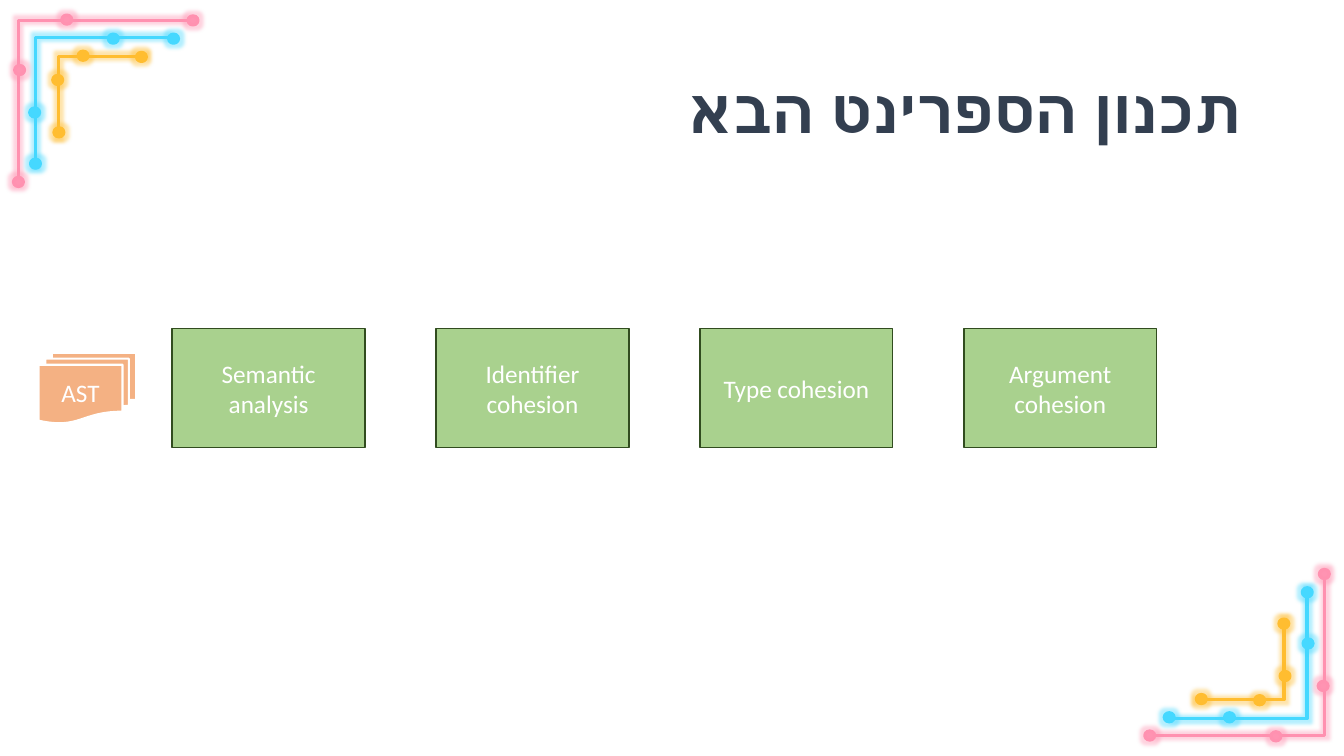
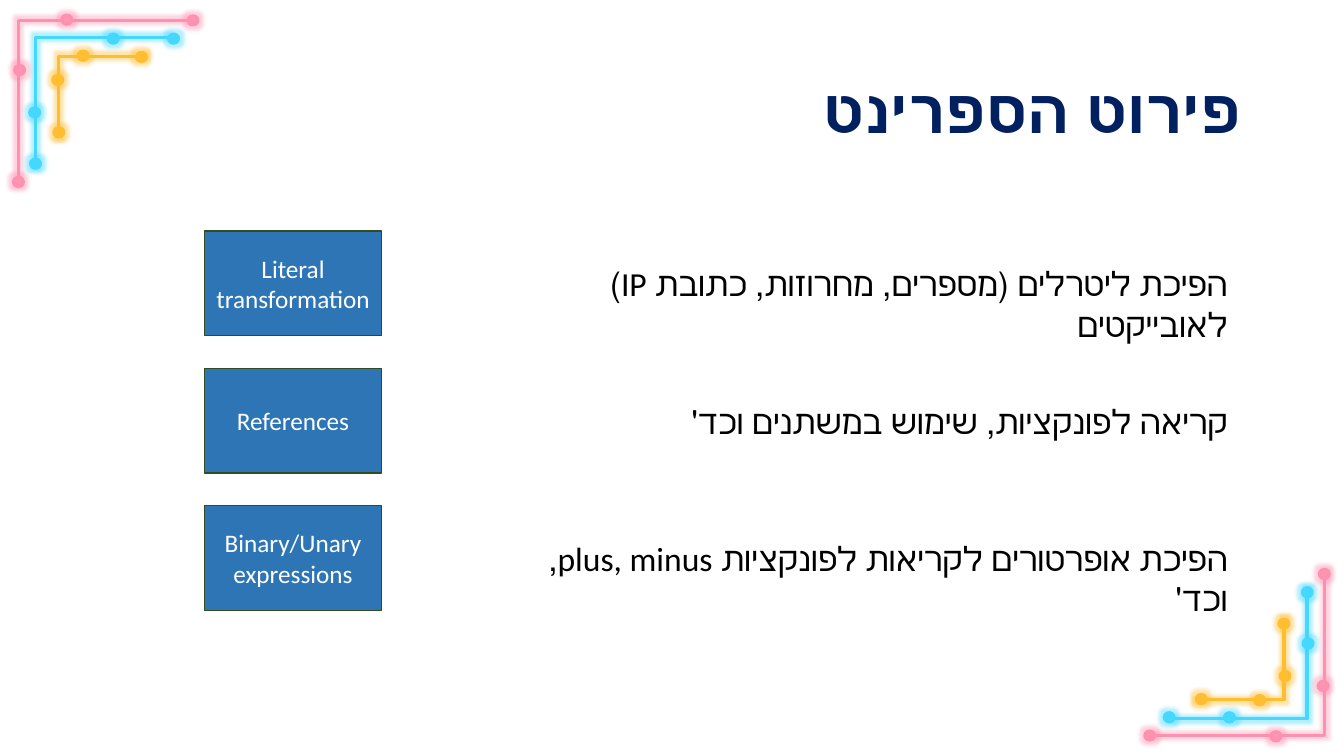
"""Build two sprint-planning slides framed by glowing corner lines."""
from dataclasses import dataclass

from lxml import etree
from pptx import Presentation
from pptx.dml.color import RGBColor
from pptx.enum import shapes, text
from pptx.oxml import ns
from pptx.util import Cm, Pt


@dataclass(frozen=True)
class Theme:
    """Colours, fonts and type sizes."""
    slate: str = "333F50"
    navy: str = "002060"
    green: str = "A9D18E"
    blue: str = "2E75B6"
    orange: str = "F4B183"
    outline: str = "314C1F"
    white: str = "FFFFFF"
    black: str = "000000"
    cyan: str = "45D8FF"
    pink: str = "FF91B0"
    pink_dot: str = "FF93B2"
    amber: str = "FFBD30"
    title_font: str = "Lato"
    body_font: str = "Calibri"
    title_size: int = 44
    note_size: int = 24
    box_size: int = 18


T = Theme()
SLIDE_W, SLIDE_H = 33.87, 19.05
MIRROR_W = 33.84
DOT_W, DOT_H = 0.25, 0.23

PLAN_TITLE = "תכנון הספרינט הבא"
PLAN_INPUT = "AST"
PLAN_STEPS = ["Semantic analysis", "Identifier cohesion", "Type cohesion", "Argument cohesion"]

DETAIL_TITLE = "פירוט הספרינט"
DETAILS = [
    ("Literal transformation", "הפיכת ליטרלים (מספרים, מחרוזות, כתובת IP) לאובייקטים", 19.74),
    ("References", "קריאה לפונקציות, שימוש במשתנים וכד'", 17.91),
    ("Binary/Unary expressions", "הפיכת אופרטורים לקריאות לפונקציות plus, minus, וכד'", 18.77),
]

STRANDS = [
    dict(line=T.cyan, dot=T.cyan, left=29.57, top=14.83, corner=(32.94, 18.11),
         dots=[(32.82, 14.81), (29.34, 17.96), (32.84, 16.1), (30.86, 17.96)]),
    dict(line=T.pink, dot=T.pink_dot, left=29.13, top=14.4, corner=(33.38, 18.53),
         dots=[(33.25, 14.35), (28.85, 18.42), (32.03, 18.44), (33.22, 17.17)]),
    dict(line=T.amber, dot=T.amber, left=30.15, top=15.57, corner=(32.36, 17.63),
         dots=[(32.23, 15.6), (32.26, 16.92), (30.15, 17.5), (31.62, 17.53)]),
]


def rgb(color):
    return RGBColor.from_string(color)


def paint(sp, fill, line, width):
    sp.shadow.inherit = False
    if fill:
        sp.fill.solid()
        sp.fill.fore_color.rgb = rgb(fill)
    else:
        sp.fill.background()
    sp.line.color.rgb = rgb(line)
    sp.line.width = Pt(width)


def glow(sp, color):
    effects = sp.element.spPr.find(ns.qn("a:effectLst"))
    halo = etree.SubElement(effects, ns.qn("a:glow"), rad=str(Pt(5)))
    clr = etree.SubElement(halo, ns.qn("a:srgbClr"), val=color)
    etree.SubElement(clr, ns.qn("a:alpha"), val="40000")


def write(sp, content, size, color, align, font=T.body_font, bold=False):
    tf = sp.text_frame
    tf.word_wrap = True
    p = tf.paragraphs[0]
    p.text = content
    p.alignment = align
    p._p.get_or_add_pPr().set("rtl", "1")
    p.font.name, p.font.size, p.font.bold = font, Pt(size), bold
    p.font.color.rgb = rgb(color)
    return tf


def add_box(s, kind, at, content, fill, line=T.outline, width=1):
    sp = s.shapes.add_shape(kind, *map(Cm, at))
    paint(sp, fill, line, width)
    tf = write(sp, content, T.box_size, T.white, text.PP_ALIGN.CENTER)
    tf.vertical_anchor = text.MSO_ANCHOR.MIDDLE


def add_note(s, at, content):
    tf = write(s.shapes.add_textbox(*map(Cm, at)), content, T.note_size, T.black,
               text.PP_ALIGN.RIGHT)
    tf.auto_size = text.MSO_AUTO_SIZE.SHAPE_TO_FIT_TEXT


def add_corner(s, flipped):
    def place(x, y, w=0, h=0):
        return (MIRROR_W - x - w, SLIDE_H - y - h) if flipped else (x, y)

    parts = []
    for strand in STRANDS:
        x, y = strand["corner"]
        points = [tuple(map(Cm, place(*pt)))
                  for pt in ((x, strand["top"]), (x, y), (strand["left"], y))]
        builder = s.shapes.build_freeform(*points[0])
        builder.add_line_segments(points[1:], close=False)
        parts.append((builder.convert_to_shape(), None, strand["line"]))
    for strand in STRANDS:
        for x, y in strand["dots"]:
            left, top = place(x, y, DOT_W, DOT_H)
            dot = s.shapes.add_shape(shapes.MSO_SHAPE.OVAL, *map(Cm, (left, top, DOT_W, DOT_H)))
            parts.append((dot, strand["dot"], strand["line"]))
    for sp, fill, line in parts:
        paint(sp, fill, line, 2.25)
        glow(sp, line)
    return [sp for sp, _, _ in parts]


def prepare_layout(layout, s):
    title = layout.placeholders[0]
    title.left, title.top, title.width, title.height = map(Cm, (2.33, 1.01, 29.21, 3.68))
    title.text_frame.vertical_anchor = text.MSO_ANCHOR.MIDDLE
    for flipped in (False, True):
        for sp in add_corner(s, flipped):
            layout.shapes.element.append(sp.element)


def add_title(s, content, color):
    tf = write(s.shapes.title, content, T.title_size, color, text.PP_ALIGN.RIGHT,
               T.title_font, True)
    tf.paragraphs[0].line_spacing = 0.9


def build_plan(s):
    add_title(s, PLAN_TITLE, T.slate)
    add_box(s, shapes.MSO_SHAPE.FLOWCHART_MULTIDOCUMENT, (0.97, 8.89, 2.46, 1.78),
            PLAN_INPUT, T.orange, T.white, 1.5)
    left, pitch = 4.34, 6.65
    for i, step in enumerate(PLAN_STEPS):
        add_box(s, shapes.MSO_SHAPE.RECTANGLE, (left + i * pitch, 8.28, 4.86, 3), step, T.green)


def build_details(s):
    add_title(s, DETAIL_TITLE, T.navy)
    top, pitch, right = 5.82, 3.46, 31.19
    for i, (name, note, width) in enumerate(DETAILS):
        y = top + i * pitch
        add_box(s, shapes.MSO_SHAPE.RECTANGLE, (5.16, y, 4.45, 2.64), name, T.blue)
        add_note(s, (right - width, y + 0.69, width, 1.27), note)


def main():
    prs = Presentation()
    prs.slide_width, prs.slide_height = Cm(SLIDE_W), Cm(SLIDE_H)
    layout = prs.slide_layouts[5]
    plan, details = (prs.slides.add_slide(layout) for _ in range(2))
    prepare_layout(layout, plan)
    build_plan(plan)
    build_details(details)
    prs.save("out.pptx")


if __name__ == "__main__":
    main()
